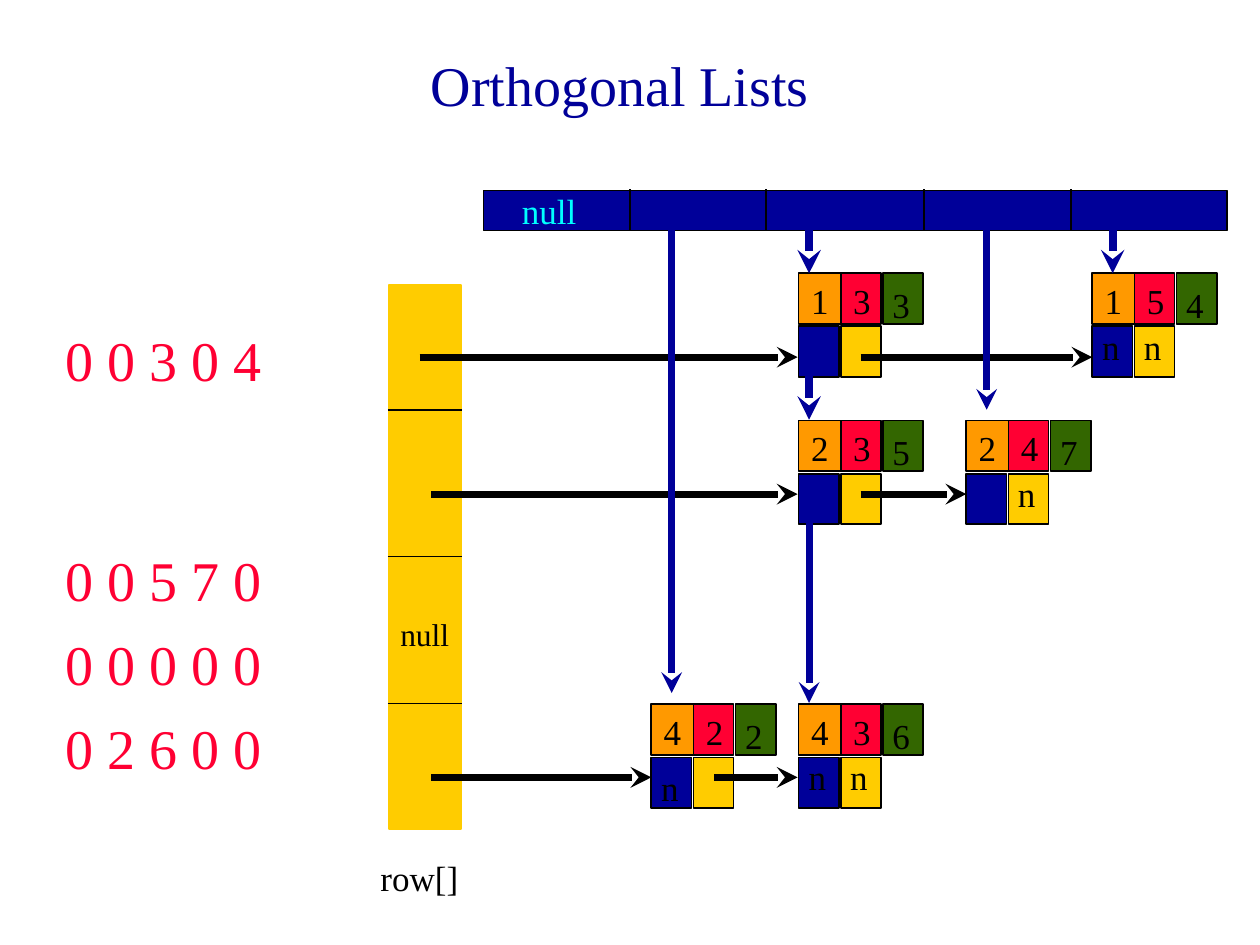
"""Build the Orthogonal Lists slide: a sparse matrix as linked rows and columns."""
from lxml.etree import SubElement
from pptx import Presentation
from pptx.dml.color import RGBColor
from pptx.enum.shapes import MSO_CONNECTOR, MSO_SHAPE
from pptx.enum.text import MSO_ANCHOR, MSO_AUTO_SIZE, PP_ALIGN
from pptx.oxml.ns import qn
from pptx.util import Cm, Pt

COLORS = {
    "navy": "000099", "red": "FF0033", "yellow": "FFCC00", "orange": "FF9900",
    "green": "336600", "cyan": "00FFFF", "black": "000000",
}

deck = Presentation()
deck.slide_width, deck.slide_height = Cm(25.4), Cm(19.05)
page = deck.slides.add_slide(deck.slide_layouts[1])


def add_box(left, top, width, height, fill, outline="black"):
    box = page.shapes.add_shape(
        MSO_SHAPE.RECTANGLE, Cm(left), Cm(top), Cm(width), Cm(height))
    box.shadow.inherit = False
    box.fill.solid()
    box.fill.fore_color.rgb = RGBColor.from_string(COLORS[fill])
    box.line.color.rgb = RGBColor.from_string(COLORS[outline])
    box.line.width = Pt(1)
    return box


def add_line(x1, y1, x2, y2, color="black", width=1, arrow=False):
    line = page.shapes.add_connector(
        MSO_CONNECTOR.STRAIGHT, Cm(x1), Cm(y1), Cm(x2), Cm(y2))
    line.line.color.rgb = RGBColor.from_string(COLORS[color])
    line.line.width = Pt(width)
    if arrow:
        SubElement(line.line._get_or_add_ln(), qn("a:tailEnd"), type="stealth")
    SubElement(line._element.spPr, qn("a:effectLst"))


title = page.shapes.title
title.left, title.top, title.width, title.height = Cm(1.7), Cm(0), Cm(21.59), Cm(3.38)
title.text_frame.text = "Orthogonal Lists"
title.text_frame.vertical_anchor = MSO_ANCHOR.MIDDLE
para = title.text_frame.paragraphs[0]
para.alignment = PP_ALIGN.CENTER
para.font.name, para.font.size = "Times New Roman", Pt(32)
para.font.color.rgb = RGBColor.from_string(COLORS["navy"])

matrix = page.placeholders[1]
matrix.left, matrix.top, matrix.width, matrix.height = Cm(1.07), Cm(3.18), Cm(4.88), Cm(12.07)
frame = matrix.text_frame
frame.auto_size = MSO_AUTO_SIZE.NONE
frame.margin_top = Cm(3.39)
frame.text = "0 0 3 0 4\n0 0 5 7 0\n0 0 0 0 0\n0 2 6 0 0"
for para, space in zip(frame.paragraphs, (0, 87, 9.5, 9.5)):
    para.space_before = Pt(space)
    para.font.name, para.font.size = "Times New Roman", Pt(32)
    para.font.color.rgb = RGBColor.from_string(COLORS["red"])
    properties = para._p.get_or_add_pPr()
    properties.set("marL", "0")
    properties.set("indent", "0")
    SubElement(properties, qn("a:buNone"))

add_box(7.85, 5.74, 1.45, 10.97, "yellow", "yellow")
for y in (8.26, 11.22, 14.18):
    add_line(7.82, y, 9.32, y)
for x1, y, x2 in ((8.46, 7.2, 16.08), (8.69, 9.96, 16.08), (8.69, 15.67, 13.13)):
    add_line(x1, y, x2, y, width=4, arrow=True)

header = add_box(9.75, 3.84, 14.99, 0.81, "navy")
header.text_frame.margin_left = Cm(0.77)
header.text_frame.vertical_anchor = MSO_ANCHOR.MIDDLE
header.text_frame.text = "null"
para = header.text_frame.paragraphs[0]
para.alignment = PP_ALIGN.LEFT
para.font.name, para.font.size = "Times New Roman", Pt(20)
para.font.color.rgb = RGBColor.from_string(COLORS["cyan"])
for x in (12.7, 15.44, 18.62, 21.59):
    add_line(x, 3.81, x, 4.65)

labels = [("null", 7.82, 12.27, 1.7, 18), ("row[]", 7.42, 17.15, 2.74, 20)]
nodes = (
    (16.1, 5.51, "133"), (22.02, 5.51, "154"),
    (16.1, 8.48, "235"), (19.48, 8.48, "247"),
    (13.13, 14.2, "422"), (16.1, 14.2, "436"),
)
cells = (
    (0, 0, 1.24, "orange"), (0.85, 0, 0.81, "red"), (0, 1.07, 0.81, "navy"),
    (0.85, 1.07, 0.81, "yellow"), (1.7, 0, 0.81, "green"),
)
for left, top, digits in nodes:
    for dx, dy, width, fill in cells:
        add_box(left + dx, top + dy, width, 1.02, fill)
    for digit, dx, dy in zip(digits, (0, 0.85, 1.64), (0, 0, 0.08)):
        labels.append((digit, left + dx, top + dy, 0.86, 20))

for x1, y, x2 in ((17.35, 7.2, 22.02), (17.35, 9.96, 19.48), (14.4, 15.67, 16.08)):
    add_line(x1, y, x2, y, width=4, arrow=True)
for x, y1, y2, width in (
    (13.54, 4.24, 13.97, 4), (16.31, 4.24, 5.51, 4.5), (16.31, 7.2, 8.46, 4.5),
    (16.31, 10.16, 14.17, 4), (19.89, 4.24, 8.26, 4), (22.43, 4.24, 5.51, 4.5),
):
    add_line(x, y1, x, y2, "navy", width, arrow=True)

for left, top in ((21.97, 6.43), (22.81, 6.43), (20.27, 9.4),
                  (16.89, 15.11), (16.05, 15.11), (13.08, 15.32)):
    labels.append(("n", left, top, 0.86, 20))
for text, left, top, width, size in labels:
    label = page.shapes.add_textbox(Cm(left), Cm(top), Cm(width), Cm(1.09))
    label.text_frame.word_wrap = True
    label.text_frame.text = text
    para = label.text_frame.paragraphs[0]
    para.font.name, para.font.size = "Times New Roman", Pt(size)
    para.font.color.rgb = RGBColor.from_string(COLORS["black"])

deck.save("out.pptx")
